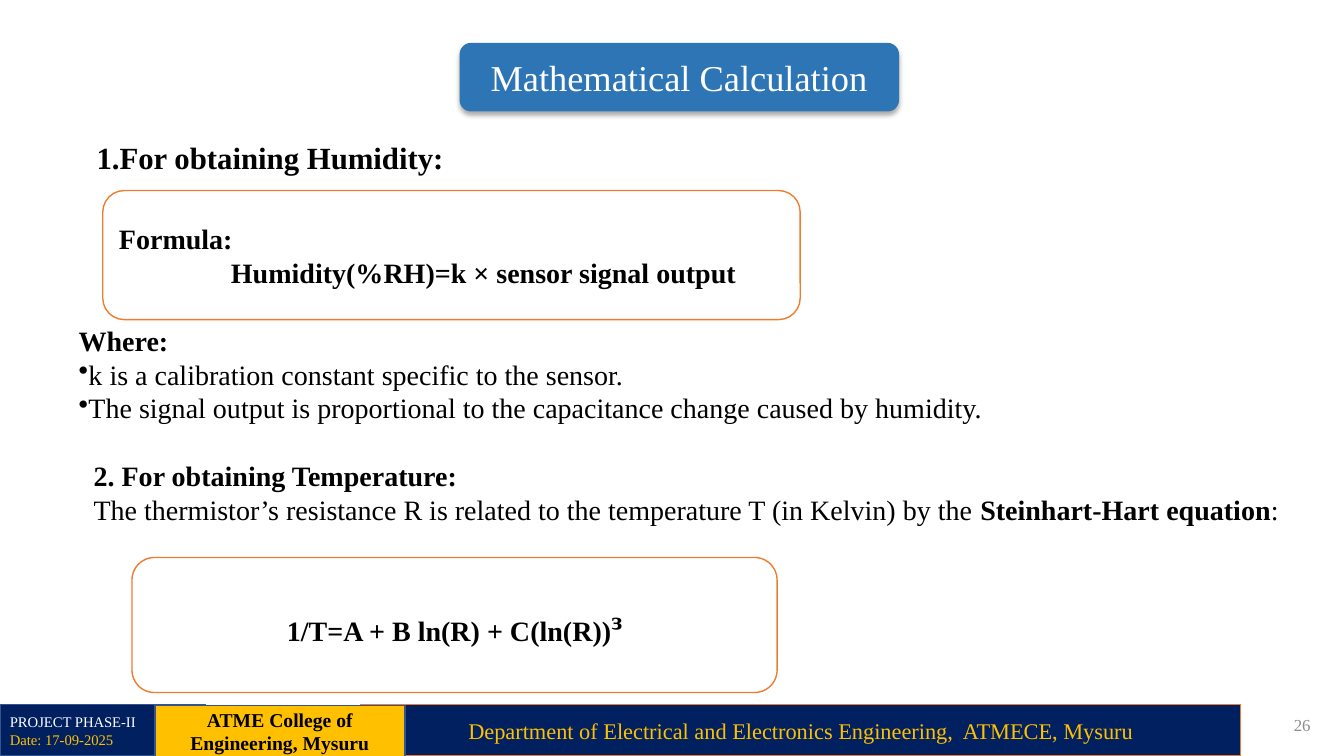
from dataclasses import dataclass
from lxml.etree import SubElement as Sub
from pptx import Presentation
from pptx.dml.color import RGBColor as Rgb
from pptx.enum.shapes import MSO_SHAPE as Kind
from pptx.enum.text import MSO_ANCHOR as Anchor, PP_ALIGN as Align
from pptx.oxml.ns import qn
from pptx.util import Pt


@dataclass(frozen=True)
class Theme:
    """Hold colours, type sizes and the font."""
    font: str = "Times New Roman"
    black: str = "000000"
    white: str = "FFFFFF"
    navy: str = "002060"
    gold: str = "FFC000"
    orange: str = "ED7D31"
    edge: str = "325491"
    blue: str = "2E75B6"
    gray: str = "8C8C8C"
    title: float = 26
    head: float = 22
    body: float = 20
    power: float = 30
    dept: float = 16
    school: float = 14
    page: float = 12
    phase: float = 10.5


LOOK = Theme()


@dataclass(frozen=True)
class Run:
    """Describe a piece of text in one format."""
    text: str
    size: float = LOOK.body
    color: str = LOOK.black
    bold: bool = False


@dataclass(frozen=True)
class Para:
    """Describe a paragraph as runs with layout."""
    runs: tuple[Run, ...]
    align: Align = Align.LEFT
    left: float = 0
    mark: str = ""


@dataclass(frozen=True)
class Box:
    """Describe a text box, or a shape if a kind is given."""
    at: tuple[float, float, float, float]
    paras: tuple[Para, ...]
    kind: Kind | None = None
    fill: str = ""
    line: str = ""
    anchor: Anchor = Anchor.MIDDLE
    shade: bool = False


def para(text: str, align: Align = Align.LEFT, left: float = 0,
         mark: str = "", **form) -> Para:
    """Make a paragraph of one run from text and its format."""
    return Para((Run(text, **form),), align, left, mark)


def mid(text: str, **form) -> Para:
    """Make a centred paragraph."""
    return para(text, align=Align.CENTER, **form)


def shadow(shape) -> None:
    """Give a shape a soft shadow below it."""
    base = Sub(shape._element.spPr, qn("a:effectLst"))
    drop = Sub(base, qn("a:outerShdw"), blurRad=str(Pt(3.5)),
               dist=str(Pt(2.2)), dir="5400000", rotWithShape="0")
    tint = Sub(drop, qn("a:srgbClr"), val=LOOK.black)
    Sub(tint, qn("a:alpha"), val="32000")


def write(frame, paras: tuple[Para, ...]) -> None:
    """Fill a text frame with paragraphs."""
    for num, item in enumerate(paras):
        row = frame.add_paragraph() if num else frame.paragraphs[0]
        row.alignment = item.align
        props = row._p.get_or_add_pPr()
        props.set("marL", str(Pt(item.left)))
        props.set("indent", "0")
        if item.mark == "1.":
            Sub(props, qn("a:buAutoNum"), type="arabicPeriod")
        elif item.mark:
            Sub(props, qn("a:buChar"), char=item.mark)
        for part in item.runs:
            run = row.add_run()
            run.text = part.text
            font = run.font
            font.name, font.size, font.bold = LOOK.font, Pt(part.size), part.bold
            font.color.rgb = Rgb.from_string(part.color)


def draw(slide, box: Box) -> None:
    """Draw a box on the slide."""
    at = [Pt(n) for n in box.at]
    if box.kind is None:
        shape = slide.shapes.add_textbox(*at)
    else:
        shape = slide.shapes.add_shape(box.kind, *at)
        shape.fill.solid()
        shape.fill.fore_color.rgb = Rgb.from_string(box.fill)
        if box.line:
            shape.line.color.rgb = Rgb.from_string(box.line)
            shape.line.width = Pt(1)
        else:
            shape.line.fill.background()
        if box.shade:
            shadow(shape)
        else:
            shape.shadow.inherit = False
    frame = shape.text_frame
    frame.word_wrap = True
    frame.vertical_anchor = box.anchor
    write(frame, box.paras)


BASE, TALL = 503.3, 36.7
RECT, ROUND = Kind.RECTANGLE, Kind.ROUNDED_RECTANGLE
CARD = dict(kind=ROUND, fill=LOOK.white, line=LOOK.orange)

BOXES = (
    Box((257.8, BASE, 628.5, TALL), (
        mid("Department of Electrical and Electronics Engineering,  ATMECE, Mysuru",
            size=LOOK.dept, color=LOOK.gold),), RECT, LOOK.navy, LOOK.orange),
    Box((0, BASE, 146.9, TALL), (
        para("PROJECT PHASE-II", size=LOOK.phase, color=LOOK.white),
        para("Date: 17-09-2025", size=LOOK.phase, color=LOOK.gold)),
        RECT, LOOK.navy, LOOK.edge),
    Box((110.6, 504, 178.6, TALL), (
        mid("ATME College of Engineering, Mysuru", size=LOOK.school, bold=True),),
        RECT, LOOK.gold, LOOK.edge),
    Box((719.3, BASE, 223.9, 28.8), (
        para("26", align=Align.RIGHT, size=LOOK.page, color=LOOK.gray),)),
    Box((328.3, 30.6, 313.9, 49), (
        mid("Mathematical Calculation", size=LOOK.title, color=LOOK.white),),
        ROUND, LOOK.blue, shade=True),
    Box((25.9, 95.6, 302.4, 32.4), (
        para("For obtaining Humidity:", left=36, mark="1.", size=LOOK.head,
             bold=True),), anchor=Anchor.TOP),
    Box((49, 227.2, 663.8, 79.9), (
        para("Where:", bold=True),
        para("k is a calibration constant specific to the sensor.", mark="•"),
        para("The signal output is proportional to the capacitance change "
             "caused by humidity.", mark="•"))),
    Box((73.4, 136.1, 498.2, 92.2), (
        para("Formula:", bold=True),
        para("Humidity(%RH)=k × sensor signal output", left=80, bold=True)), **CARD),
    Box((59.8, 324.2, 890.6, 54), (
        para("2. For obtaining Temperature:", bold=True),
        Para((Run("The thermistor’s resistance R is related to the temperature T "
                  "(in Kelvin) by the "),
              Run("Steinhart-Hart equation", bold=True), Run(":")))),
        anchor=Anchor.TOP),
    Box((94.3, 398.2, 460.8, 96.5), (
        Para((Run("1/T=A + B ln(R) + C(ln(R))", bold=True),
              Run("ᶟ", size=LOOK.power, bold=True)), Align.CENTER),), **CARD),
)


def main() -> None:
    """Build the slide and save it."""
    deck = Presentation()
    deck.slide_width, deck.slide_height = Pt(960), Pt(540)
    slide = deck.slides.add_slide(deck.slide_layouts[6])
    for box in BOXES:
        draw(slide, box)
    deck.save("out.pptx")


if __name__ == "__main__":
    main()
